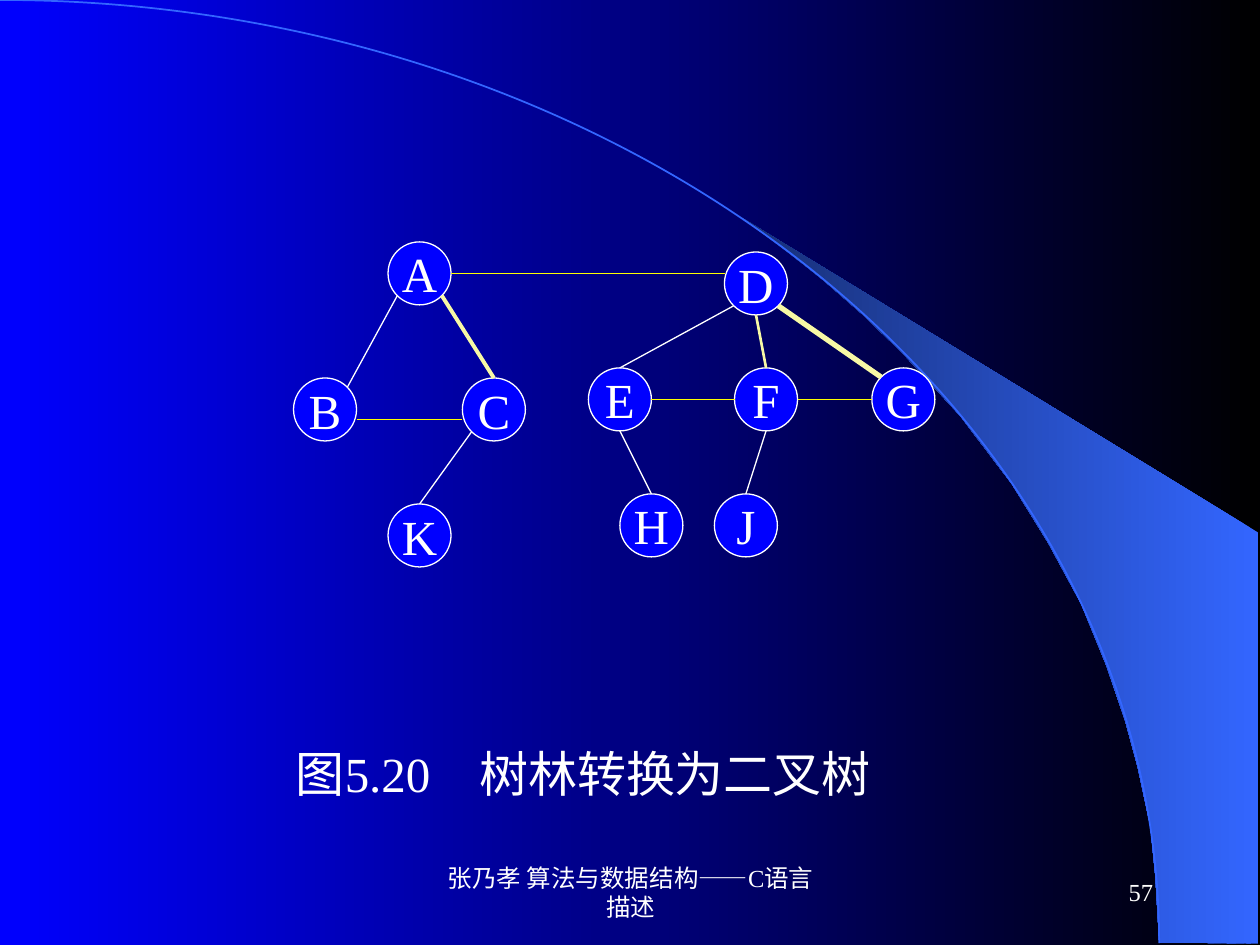
from dataclasses import dataclass
from math import sqrt

from lxml import etree
from pptx import Presentation
from pptx.dml.color import RGBColor
from pptx.enum.shapes import MSO_CONNECTOR, MSO_SHAPE
from pptx.enum.text import MSO_ANCHOR, PP_ALIGN
from pptx.oxml.ns import qn
from pptx.slide import Slide
from pptx.util import Inches, Pt

ELLIPSE, ARC = MSO_SHAPE.OVAL, MSO_SHAPE.ARC
STRAIGHT = MSO_CONNECTOR.STRAIGHT
TOP, MIDDLE = MSO_ANCHOR.TOP, MSO_ANCHOR.MIDDLE
LEFT, CENTER, RIGHT = PP_ALIGN.LEFT, PP_ALIGN.CENTER, PP_ALIGN.RIGHT

FONT = "Times New Roman"
WHITE, BLUE, YELLOW, CREAM, SKY = "FFFFFF", "0000FF", "FFFF00", "F7F9A5", "3366FF"
RADIUS = 0.25
DIAGONAL = RADIUS / sqrt(2)
ANCHORS = {
    "top": (0, -RADIUS),
    "bottom": (0, RADIUS),
    "top left": (-DIAGONAL, -DIAGONAL),
    "top right": (DIAGONAL, -DIAGONAL),
    "bottom left": (-DIAGONAL, DIAGONAL),
    "bottom right": (DIAGONAL, DIAGONAL),
}
SWOOSH = [
    (9.2, 7.48), (9.99, 7.49), (9.99, 4.23), (5.89, 1.73), (6.24, 1.99), (6.53, 2.22),
    (6.85, 2.5), (7.16, 2.8), (7.62, 3.3), (8.03, 3.84), (8.32, 4.31), (8.58, 4.79),
    (8.78, 5.28), (8.93, 5.72), (9.03, 6.09), (9.13, 6.56), (9.17, 6.96),
]


@dataclass(frozen=True)
class Node:
    """A tree node, placed by its centre."""
    x: float
    y: float

    def anchor(self, side: str) -> tuple[float, float]:
        """Return the point on the node's rim at the given side."""
        dx, dy = ANCHORS[side]
        return self.x + dx, self.y + dy


@dataclass(frozen=True)
class Branch:
    """A parent-child line, with a heavier width if it is highlighted."""
    parent: str
    exit_side: str
    child: str
    entry_side: str = "top"
    highlight: float = 0


@dataclass(frozen=True)
class SiblingLink:
    """A horizontal line between neighbouring nodes."""
    left: str
    right: str
    y: float


@dataclass(frozen=True)
class Caption:
    """A text box with one paragraph of runs."""
    runs: tuple[str, ...]
    box: tuple[float, float, float, float]
    size: float
    align: PP_ALIGN = CENTER
    anchor: MSO_ANCHOR = MIDDLE
    space_before: float = 0


NODES = {
    "A": Node(3.33, 2.17),
    "B": Node(2.58, 3.25),
    "C": Node(3.92, 3.25),
    "K": Node(3.33, 4.25),
    "D": Node(6, 2.25),
    "E": Node(4.92, 3.17),
    "F": Node(6.08, 3.17),
    "G": Node(7.17, 3.17),
    "H": Node(5.17, 4.17),
    "J": Node(5.92, 4.17),
}
BRANCHES = [
    Branch("A", "bottom left", "B", "top right"),
    Branch("A", "bottom right", "C", highlight=2.25),
    Branch("C", "bottom left", "K"),
    Branch("D", "bottom left", "E"),
    Branch("D", "bottom", "F", highlight=1.5),
    Branch("D", "bottom right", "G", "top left", highlight=3),
    Branch("E", "bottom", "H"),
    Branch("F", "bottom", "J"),
]
SIBLING_LINKS = [
    SiblingLink("A", "D", 2.17),
    SiblingLink("B", "C", 3.33),
    SiblingLink("E", "F", 3.17),
    SiblingLink("F", "G", 3.17),
]
CAPTIONS = [
    Caption(("图5.20", " ", "树林转换为二叉树"), (2.25, 5.85, 5, 0.57), 28, LEFT, TOP, 17.5),
    Caption(("张乃孝", " ", "算法与数据结构——C语言描述"), (3.42, 6.83, 3.17, 0.5), 14),
    Caption(("57",), (7.17, 6.83, 2.08, 0.5), 14, RIGHT),
]
CAPTIONS[0] = Caption(("图5.20", "　", "树林转换为二叉树"), (2.25, 5.85, 5, 0.57), 28, LEFT, TOP, 17.5)


def rgb(value: str) -> RGBColor:
    """Turn a hex string into a colour."""
    return RGBColor.from_string(value)


def fill_gradient(fill, first: str, last: str) -> None:
    """Fill with a gradient running from right to left."""
    fill.gradient()
    fill.gradient_angle = 180
    for stop, position, value in zip(fill.gradient_stops, (0, 1), (first, last)):
        stop.position = position
        stop.color.rgb = rgb(value)


def style_line(line, value: str, width: float) -> None:
    """Set the colour and width of a line."""
    line.color.rgb = rgb(value)
    line.width = Pt(width)


def add_run(paragraph, text: str, size: float) -> None:
    """Append one white run."""
    run = paragraph.add_run()
    run.text = text
    run.font.name = FONT
    run.font.size = Pt(size)
    run.font.color.rgb = rgb(WHITE)


def draw_backdrop(slide: Slide) -> None:
    """Draw the gradient background, the swoosh and the arc."""
    fill_gradient(slide.background.fill, "000000", BLUE)
    builder = slide.shapes.build_freeform(
        *(Inches(value) for value in SWOOSH[0]), scale=1.0)
    builder.add_line_segments([(Inches(x), Inches(y)) for x, y in SWOOSH[1:]], close=True)
    swoosh = builder.convert_to_shape()
    swoosh.shadow.inherit = False
    swoosh.line.fill.background()
    fill_gradient(swoosh.fill, SKY, "172F75")
    arc = slide.shapes.add_shape(ARC, Inches(-9.2), Inches(0), Inches(18.4), Inches(14.97))
    arc.shadow.inherit = False
    arc.fill.background()
    style_line(arc.line, SKY, 1)


def draw_node(slide: Slide, label: str, node: Node) -> None:
    """Draw a labelled circle."""
    circle = slide.shapes.add_shape(
        ELLIPSE, Inches(node.x - RADIUS), Inches(node.y - RADIUS),
        Inches(2 * RADIUS), Inches(2 * RADIUS))
    circle.shadow.inherit = False
    circle.fill.solid()
    circle.fill.fore_color.rgb = rgb(BLUE)
    style_line(circle.line, WHITE, 0.75)
    frame = circle.text_frame
    frame.word_wrap = False
    frame.vertical_anchor = MIDDLE
    frame.paragraphs[0].alignment = CENTER
    add_run(frame.paragraphs[0], label, 28)


def draw_line(slide: Slide, start: tuple[float, float], end: tuple[float, float],
              value: str, width: float = 0.75) -> None:
    """Draw a straight line without a shadow."""
    connector = slide.shapes.add_connector(
        STRAIGHT, *(Inches(length) for length in (*start, *end)))
    style_line(connector.line, value, width)
    etree.SubElement(connector._element.spPr, qn("a:effectLst"))


def draw_branch(slide: Slide, branch: Branch) -> None:
    """Draw a branch and, over it, its highlight."""
    start = NODES[branch.parent].anchor(branch.exit_side)
    end = NODES[branch.child].anchor(branch.entry_side)
    draw_line(slide, start, end, WHITE)
    if branch.highlight:
        draw_line(slide, start, end, CREAM, branch.highlight)


def draw_sibling_link(slide: Slide, link: SiblingLink) -> None:
    """Draw the line from one node's right edge to the next one's left edge."""
    start = NODES[link.left].x + RADIUS, link.y
    end = NODES[link.right].x - RADIUS, link.y
    draw_line(slide, start, end, YELLOW)


def draw_caption(slide: Slide, caption: Caption) -> None:
    """Draw a text box."""
    frame = slide.shapes.add_textbox(*(Inches(length) for length in caption.box)).text_frame
    frame.word_wrap = True
    frame.vertical_anchor = caption.anchor
    paragraph = frame.paragraphs[0]
    paragraph.alignment = caption.align
    paragraph.space_before = Pt(caption.space_before)
    for text in caption.runs:
        add_run(paragraph, text, caption.size)


def main() -> None:
    """Build and save the slide."""
    presentation = Presentation()
    presentation.slide_width, presentation.slide_height = Inches(10), Inches(7.5)
    slide = presentation.slides.add_slide(presentation.slide_layouts[6])
    draw_backdrop(slide)
    for label, node in NODES.items():
        draw_node(slide, label, node)
    for branch in BRANCHES:
        draw_branch(slide, branch)
    for link in SIBLING_LINKS:
        draw_sibling_link(slide, link)
    for caption in CAPTIONS:
        draw_caption(slide, caption)
    presentation.save("out.pptx")


if __name__ == "__main__":
    main()
